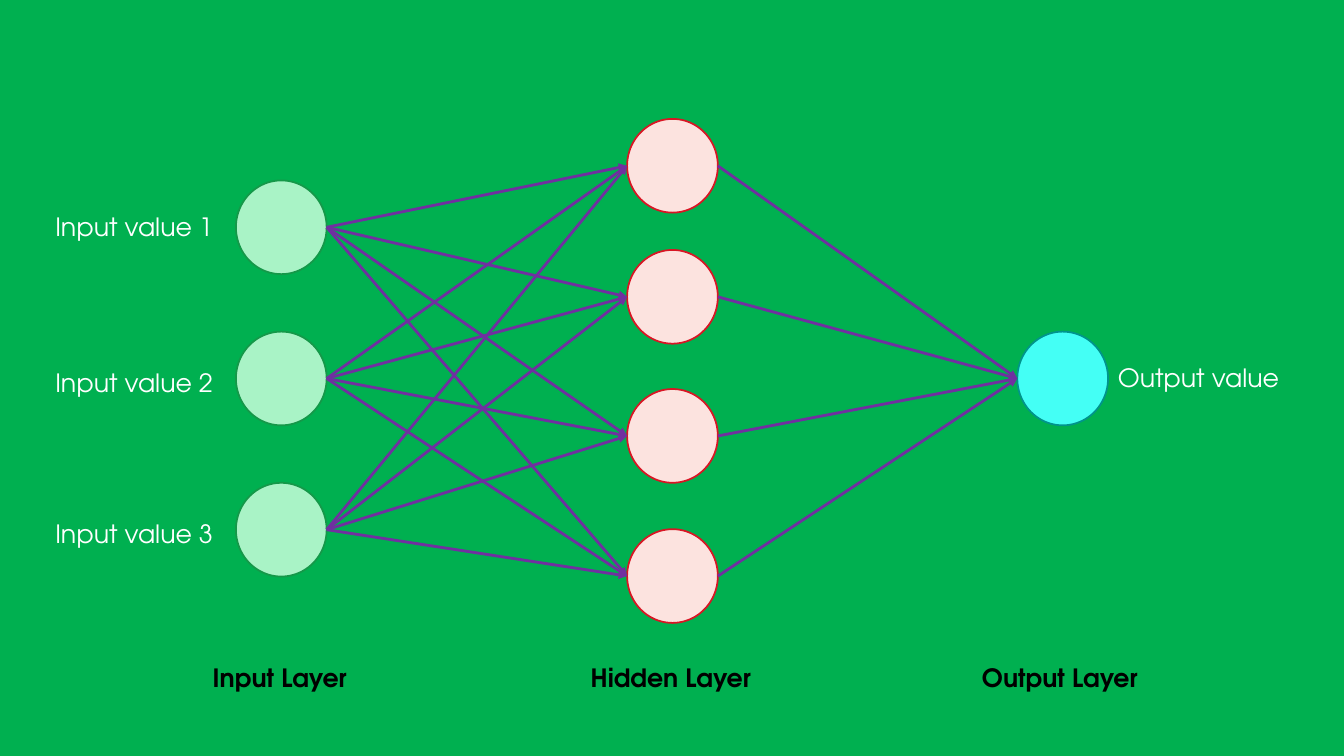
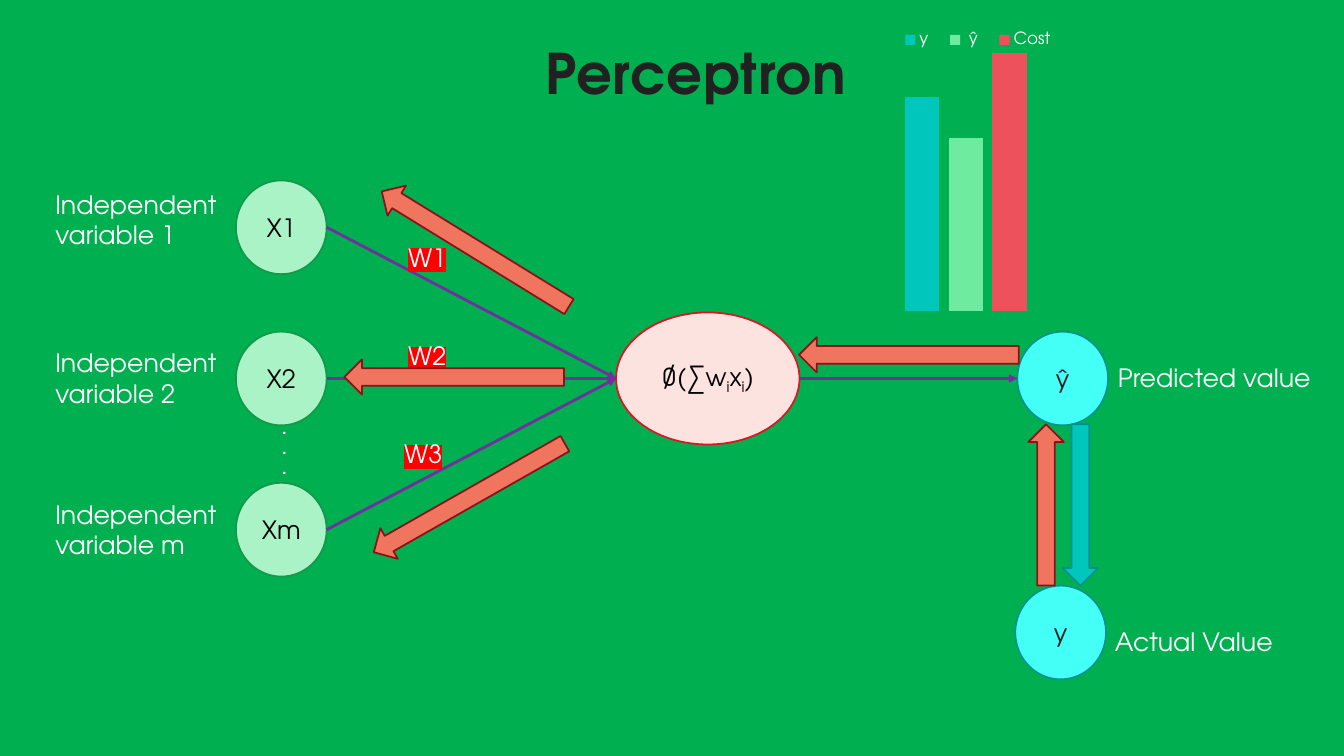
from lxml import etree
from pptx import Presentation
from pptx import util as u
from pptx.chart.data import CategoryChartData
from pptx.dml.color import RGBColor
from pptx.enum import chart as ch, shapes, text
from pptx.oxml.ns import qn

PX = 9144  # 100 px to the inch
FONT = "TeX Gyre Adventor"
COLORS = {
    "background": "00B050", "black": "000000", "white": "FFFFFF",
    "title": "212121", "symbol": "202124", "link": "7030A0", "mark": "FF0000",
    "input": "A9F3C6", "input_line": "159849",
    "hidden": "FCE3DF", "hidden_line": "D81624",
    "output": "44FFF5", "output_line": "00948C",
    "back": "EF755F", "back_line": "900F18",
    "forward": "00C6BB", "forward_line": "00928A",
    "y": "00C6BB", "y_hat": "6FEBA0", "cost": "ED515C",
}
NODE_W, NODE_H = 90, 93
INPUT_X, OUTPUT_X = 234, 1009
INPUT_TOPS = [179, 329, 479]
HIDDEN_TOPS = [118, 248, 386, 525]
MIDDLE_TOP = INPUT_TOPS[1]
ELLIPSE_LEFT, ELLIPSE_RIGHT = 2, 6  # connection sites of an ellipse


def rgb(name):
    return RGBColor.from_string(COLORS[name])


def px(*lengths):
    return [u.Emu(n * PX) for n in lengths]


class Deck:
    def __init__(self):
        self.prs = Presentation()
        self.prs.slide_width, self.prs.slide_height = px(1333, 750)
        fill = self.prs.slide_master.background.fill
        fill.solid()
        fill.fore_color.rgb = rgb("background")
        self.s = None

    def slide(self, title=None, box=None):
        layout = self.prs.slide_layouts[5 if title else 6]
        self.s = self.prs.slides.add_slide(layout)
        if title:
            sp = self.s.shapes.title
            sp.left, sp.top, sp.width, sp.height = px(*box)
            tf = sp.text_frame
            tf.word_wrap = False
            tf.vertical_anchor = text.MSO_ANCHOR.MIDDLE
            p = tf.paragraphs[0]
            p.alignment = text.PP_ALIGN.CENTER
            r = self.run(p, title, "title", size=u.Pt(40), bold=True)
            r.font._element.set("spc", "50")

    def run(self, p, words, color, **formats):
        r = p.add_run()
        r.text = words
        for key, value in {"name": FONT, "size": u.Pt(18), **formats}.items():
            setattr(r.font, key, value)
        r.font.color.rgb = rgb(color)
        return r

    def label(self, words, box, color="white", mark=None, **formats):
        tf = self.s.shapes.add_textbox(*px(*box)).text_frame
        tf.word_wrap = True
        for i, line in enumerate(words.split("\n")):
            p = tf.add_paragraph() if i else tf.paragraphs[0]
            r = self.run(p, line, color, **formats)
            if mark:
                highlight = etree.Element(qn("a:highlight"))
                etree.SubElement(highlight, qn("a:srgbClr"), val=COLORS[mark])
                r.font._element.find(qn("a:solidFill")).addnext(highlight)

    def shape(self, preset, box, kind):
        sp = self.s.shapes.add_shape(preset, *px(*box))
        sp.shadow.inherit = False
        sp.fill.solid()
        sp.fill.fore_color.rgb = rgb(kind)
        sp.line.color.rgb = rgb(kind + "_line")
        sp.line.width = u.Pt(1.25)
        return sp

    def node(self, kind, x, y, w=NODE_W, h=NODE_H, runs=(), color="black"):
        """An ellipse; runs are (words, is subscript) pairs."""
        sp = self.shape(shapes.MSO_SHAPE.OVAL, (x, y, w, h), kind)
        tf = sp.text_frame
        tf.vertical_anchor = text.MSO_ANCHOR.MIDDLE
        p = tf.paragraphs[0]
        p.alignment = text.PP_ALIGN.CENTER
        for words, subscript in runs:
            r = self.run(p, words, color)
            if subscript:
                r.font._element.set("baseline", "-25000")
        return sp

    def link(self, start, end):
        """An arrow from the right of one node to the left of another."""
        line = self.s.shapes.add_connector(
            shapes.MSO_CONNECTOR.STRAIGHT,
            start.left + start.width, start.top + start.height // 2,
            end.left, end.top + end.height // 2)
        line.line.color.rgb = rgb("link")
        line.line.width = u.Pt(2)
        props = line._element.spPr
        etree.SubElement(props.find(qn("a:ln")), qn("a:tailEnd"), type="triangle")
        etree.SubElement(props, qn("a:effectLst"))
        joints = line._element.nvCxnSpPr.cNvCxnSpPr
        for tag, sp, site in (("a:stCxn", start, ELLIPSE_RIGHT),
                              ("a:endCxn", end, ELLIPSE_LEFT)):
            etree.SubElement(joints, qn(tag), id=str(sp.shape_id), idx=str(site))

    def arrow(self, kind, x, y, length, rotation=0):
        sp = self.shape(shapes.MSO_SHAPE.UP_ARROW, (x, y, 35, length), kind)
        sp.rotation = rotation

    def columns(self, box, series, top, plot, legend):
        """A one-category column chart; plot and legend are shares of the box."""
        data = CategoryChartData()
        data.categories = ["1"]
        for name, value, _ in series:
            data.add_series(name, [value])
        chart = self.s.shapes.add_chart(
            ch.XL_CHART_TYPE.COLUMN_CLUSTERED, *px(*box), data).chart
        chart.has_title = False
        chart.has_legend = True
        chart.legend.position = ch.XL_LEGEND_POSITION.TOP
        chart.legend.include_in_layout = False
        for font, size in ((chart.font, 10), (chart.legend.font, 12)):
            font.name, font.size = FONT, u.Pt(size)
            font.color.rgb = rgb("white")
        chart.value_axis.minimum_scale = 0
        chart.value_axis.maximum_scale = top
        chart.value_axis.has_major_gridlines = False
        chart.value_axis.visible = chart.category_axis.visible = False
        bars = chart.plots[0]
        bars.vary_by_categories = False
        bars.gap_width, bars.overlap = 219, -27
        for bar, (_, _, color) in zip(bars.series, series):
            bar.format.fill.solid()
            bar.format.fill.fore_color.rgb = rgb(color)

        # Transparent chart area, fixed plot and legend places
        root = chart._chartSpace
        area = etree.Element(qn("c:spPr"))
        etree.SubElement(area, qn("a:noFill"))
        etree.SubElement(etree.SubElement(area, qn("a:ln")), qn("a:noFill"))
        root.find(qn("c:chart")).addnext(area)
        self.place(root.find(".//" + qn("c:plotArea")), plot, inner=True)
        self.place(root.find(".//" + qn("c:legend")), legend)

    @staticmethod
    def place(part, shares, inner=False):
        for old in part.findall(qn("c:layout")):
            part.remove(old)
        layout = etree.Element(qn("c:layout"))
        manual = etree.SubElement(layout, qn("c:manualLayout"))
        if inner:
            etree.SubElement(manual, qn("c:layoutTarget"), val="inner")
        for tag in ("xMode", "yMode"):
            etree.SubElement(manual, qn("c:" + tag), val="edge")
        for tag, share in zip("xywh", shares):
            etree.SubElement(manual, qn("c:" + tag), val=str(share))
        position = part.find(qn("c:legendPos"))
        if position is None:
            part.insert(0, layout)
        else:
            position.addnext(layout)


def network(d):
    d.slide()

    # Layers of nodes
    hidden = [d.node("hidden", 622, y) for y in HIDDEN_TOPS]
    inputs = [d.node("input", INPUT_X, y) for y in INPUT_TOPS]
    output = d.node("output", OUTPUT_X, MIDDLE_TOP)

    # Links between layers
    for unit in hidden:
        for source in inputs:
            d.link(source, unit)
        d.link(unit, output)

    # Layer names and values
    for name, x, w in (("Input", 201, 156), ("Hidden", 576, 181),
                       ("Output", 964, 181)):
        d.label(f"{name} Layer", (x, 652, w, 40), "black", bold=True)
    for i, y in enumerate((205, 359, 509), 1):
        d.label(f"Input value {i}", (45, y, 190, 40))
    d.label("Output value", (1099, 355, 190, 40))


def perceptron(d):
    d.slide("Perceptron", (527, 33, 326, 77))

    # Nodes
    neuron = d.node("hidden", 611, 310, 182, 131, [
        ("∅(∑w", False), ("i", True), ("x", False), ("i", True), (")", False)])
    inputs = [d.node("input", INPUT_X, y, runs=[(f"X{i}", False)])
              for i, y in zip("12m", INPUT_TOPS)]
    predicted = d.node("output", OUTPUT_X, MIDDLE_TOP,
                       runs=[("ŷ", False)], color="symbol")
    d.node("output", 1007, 581, runs=[("y", False)], color="symbol")

    # Links
    for source in inputs:
        d.link(source, neuron)
    d.link(neuron, predicted)

    # Labels and weights
    for i, y in zip("12m", (183, 340, 490)):
        d.label(f"Independent variable {i}", (45, y, 190, 71))
    d.label("Predicted value", (1099, 355, 217, 40))
    d.label("Actual Value", (1096, 616, 190, 40))
    d.label(".\n.\n.", (270, 409, 190, 91), size=u.Pt(12), bold=True)
    for i, (x, y) in enumerate(((395, 235), (395, 333), (391, 430)), 1):
        d.label(f"W{i}", (x, y, 190, 40), mark="mark")

    # Error flowing back to the weights
    for x, y, rotation in ((454, 138, 301.6), (433, 265, 270),
                           (448, 385, 240.4), (884, 243, 270)):
        d.arrow("back", x, y, 218, rotation)
    d.arrow("forward", 1054, 421, 160, 180)
    d.arrow("back", 1020, 421, 160)

    # Cost chart
    d.columns((860, 10, 220, 328),
              [("y", 83, "y"), (" ŷ", 67, "y_hat"), ("Cost", 100, "cost")],
              top=100, plot=(0, 0.13, 0.89, 0.78), legend=(0.1, 0.05, 0.8, 0.08))


def main():
    d = Deck()
    network(d)
    perceptron(d)
    d.prs.save("out.pptx")


if __name__ == "__main__":
    main()
